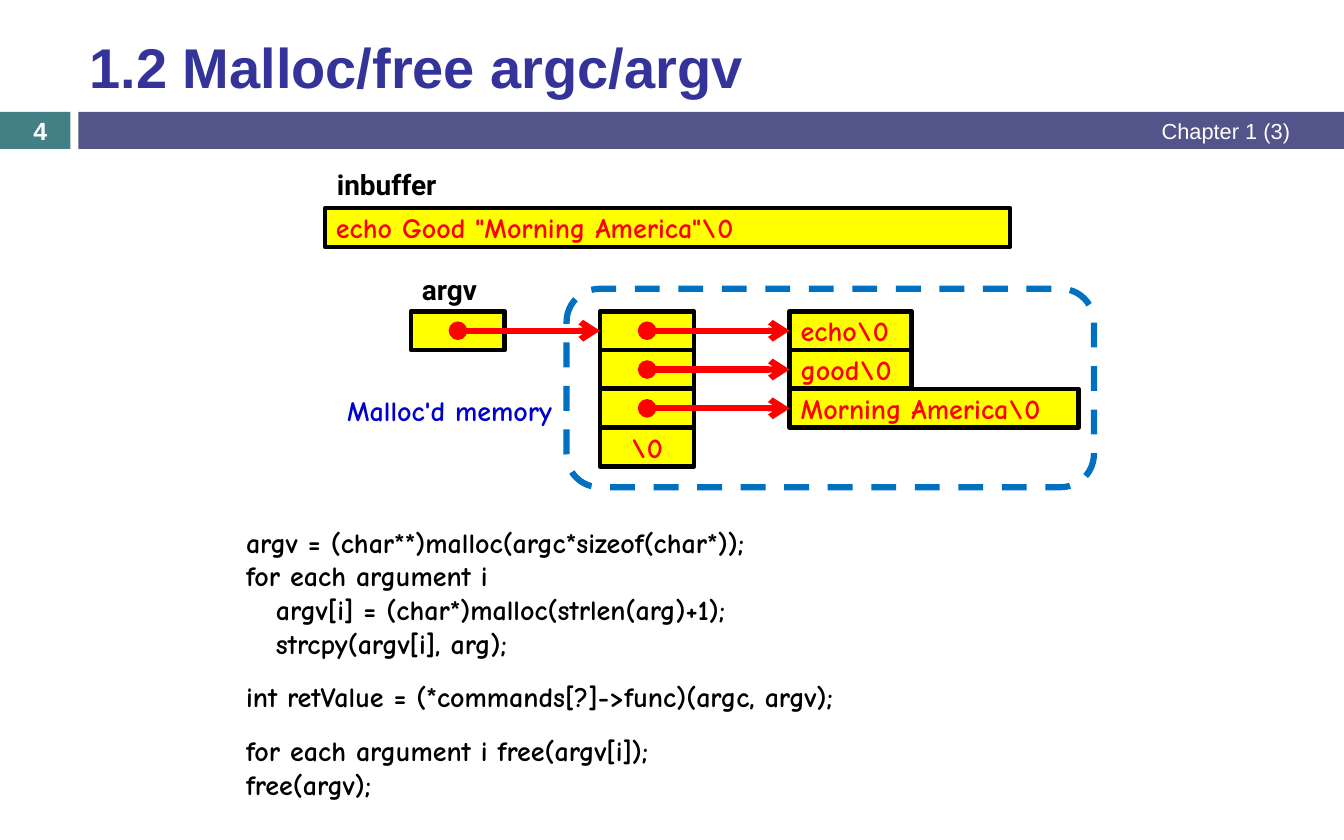
from pptx import Presentation
from pptx.dml.color import RGBColor
from pptx.enum.dml import MSO_LINE
from pptx.enum.shapes import MSO_CONNECTOR, MSO_SHAPE
from pptx.enum.text import MSO_ANCHOR, PP_ALIGN
from pptx.oxml.ns import qn
from pptx.util import Cm, Pt
from lxml.etree import SubElement

COMIC = "Comic Neue"
LEFT, MID, RIGHT = PP_ALIGN.LEFT, PP_ALIGN.CENTER, PP_ALIGN.RIGHT
TOP, ROW = 7.06, 0.88
ARGV, CELLS, WORDS = 9.32, 13.61, 17.91
CELL = 2.13
STEP = 0.68


def color(code):
    return RGBColor.from_string(code)


def write(frame, lines, font, size, tone, bold=True, align=LEFT):
    """Fill a frame with lines; a leading tab indents a line by one step."""
    for i, line in enumerate(lines):
        para = frame.paragraphs[0] if i == 0 else frame.add_paragraph()
        para.alignment = align
        if line.startswith("\t"):
            para._p.get_or_add_pPr().set("marL", str(Cm(STEP)))
        run = para.add_run()
        run.text = line.strip()
        run.font.name = font
        run.font.size = Pt(size)
        run.font.bold = bold
        run.font.color.rgb = color(tone)


def label(slide, x, y, w, h, lines, font=COMIC, size=18, tone="000000",
          bold=True, align=LEFT, anchor=MSO_ANCHOR.TOP):
    box = slide.shapes.add_textbox(Cm(x), Cm(y), Cm(w), Cm(h))
    frame = box.text_frame
    frame.word_wrap = True
    frame.vertical_anchor = anchor
    write(frame, lines, font, size, tone, bold, align)


def block(slide, x, y, w, h, fill=None, line=None, width=3,
          kind=MSO_SHAPE.RECTANGLE):
    shape = slide.shapes.add_shape(kind, Cm(x), Cm(y), Cm(w), Cm(h))
    shape.shadow.inherit = False
    if fill:
        shape.fill.solid()
        shape.fill.fore_color.rgb = color(fill)
    else:
        shape.fill.background()
    if line:
        shape.line.color.rgb = color(line)
        shape.line.width = Pt(width)
    else:
        shape.line.fill.background()
    return shape


def cell(slide, x, y, w, text="", align=LEFT):
    """Draw a yellow memory cell, with its content if it holds any."""
    shape = block(slide, x, y, w, ROW, "FFFF00", "000000")
    if text:
        frame = shape.text_frame
        frame.word_wrap = False
        frame.margin_top = frame.margin_bottom = 0
        frame.vertical_anchor = MSO_ANCHOR.MIDDLE
        write(frame, [text], COMIC, 18, "FF0000", align=align)
    return shape


def point(slide, start, goal):
    """Draw a pointer from the centre of one cell to the left side of another."""
    y = start.top + start.height // 2
    link = slide.shapes.add_connector(
        MSO_CONNECTOR.STRAIGHT, start.left + start.width // 2, y, goal.left, y)
    link.end_connect(goal, 1)
    link.line.color.rgb = color("FF0000")
    link.line.width = Pt(4)
    line = link.line._get_or_add_ln()
    SubElement(line, qn("a:headEnd"), type="oval")
    SubElement(line, qn("a:tailEnd"), type="arrow")
    SubElement(link._element.spPr, qn("a:effectLst"))


def header(slide):
    block(slide, 0, 2.54, 1.6, 0.84, "438086")
    block(slide, 1.78, 2.54, 28.7, 0.84, "53548A")
    mid = MSO_ANCHOR.MIDDLE
    label(slide, 1.78, 0.48, 27.71, 2.03, ["1.2 Malloc/free argc/argv"],
          "Arial", 36, "333399", anchor=mid)
    label(slide, 0, 2.59, 1.83, 0.76, ["4"], "Arial", 16, "FFFFFF",
          align=MID, anchor=mid)
    label(slide, 15.67, 2.54, 13.84, 0.84, ["Chapter 1 (3)"], "Arial", 14,
          "FFFFFF", False, RIGHT, mid)


def memory(slide):
    label(slide, 7.39, 3.68, 3.53, 1.02, ["inbuffer"], "Roboto")
    cell(slide, 7.37, 4.72, 15.54, 'echo Good "Morning America"\\0')

    label(slide, ARGV, 6.05, 2.49, 1.02, ["argv"], "Roboto")
    argv = cell(slide, ARGV, TOP, CELL)
    slots = [cell(slide, CELLS, TOP + i * ROW, CELL, text, MID)
             for i, text in enumerate(["", "", "", "\\0"])]
    point(slide, argv, slots[0])

    heap = block(slide, 12.85, 6.55, 11.96, 4.5, line="0070C0", width=4,
                 kind=MSO_SHAPE.ROUNDED_RECTANGLE)
    heap.line.dash_style = MSO_LINE.DASH
    label(slide, 5.56, 8.81, 7.21, 1.02, ["Malloc'd memory"],
          tone="0000CC", align=RIGHT)

    words = [("echo\\0", 2.77), ("good\\0", 2.77), ("Morning America\\0", 6.55)]
    goals = [cell(slide, WORDS, TOP + i * ROW, w, text)
             for i, (text, w) in enumerate(words)]
    for slot, goal in zip(slots, goals):
        point(slide, slot, goal)


def code(slide):
    label(slide, 5.33, 11.79, 14.02, 3.33, [
        "argv = (char**)malloc(argc*sizeof(char*));",
        "for each argument i",
        "\targv[i] = (char*)malloc(strlen(arg)+1);",
        "\tstrcpy(argv[i], arg);"])
    label(slide, 5.33, 15.29, 16.92, 1.02,
          ["int retValue = (*commands[?]->func)(argc, argv);"])
    label(slide, 5.33, 16.51, 13.74, 1.8,
          ["for each argument i free(argv[i]);", "free(argv);"])


def main():
    deck = Presentation()
    deck.slide_width, deck.slide_height = Cm(30.48), Cm(19.05)
    slide = deck.slides.add_slide(deck.slide_layouts[6])
    header(slide)
    memory(slide)
    code(slide)
    deck.save("out.pptx")


if __name__ == "__main__":
    main()
